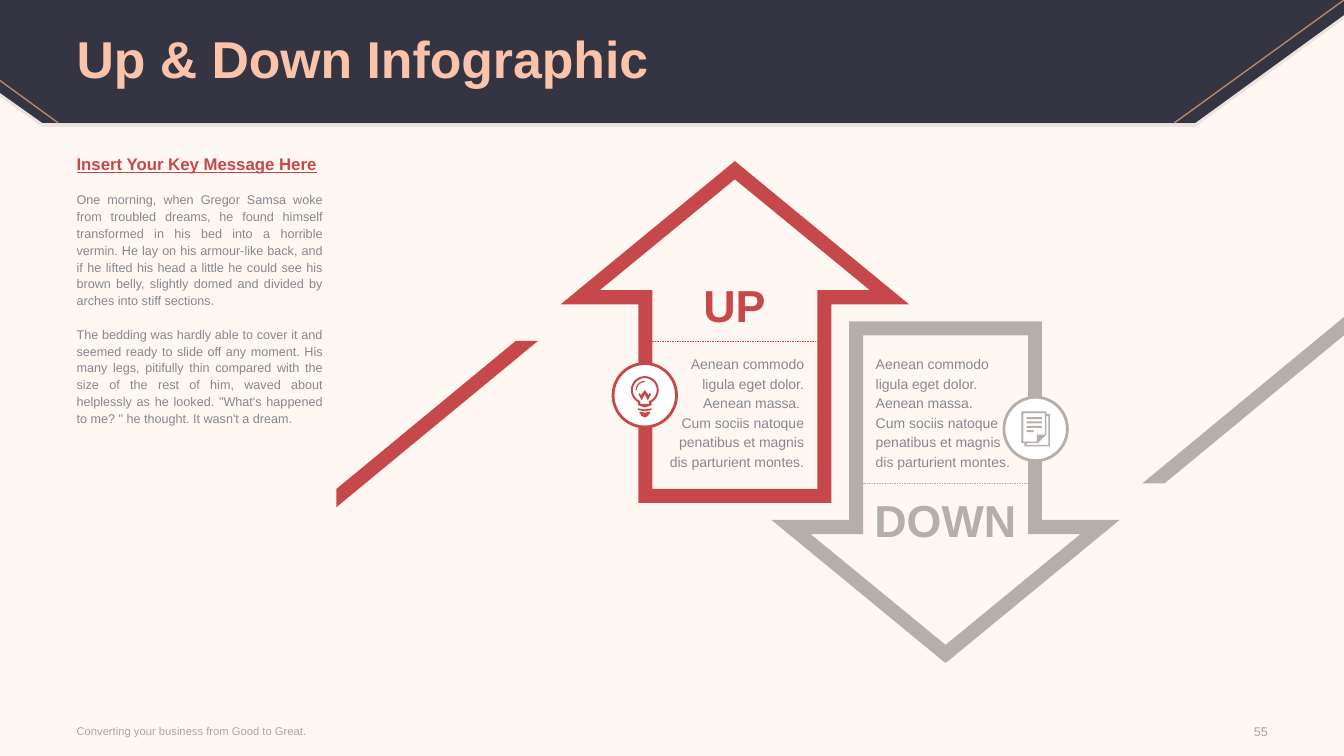
"""Build the Up & Down infographic slide."""
from dataclasses import dataclass
from math import cos, radians, sin
from typing import Callable, Optional

from pptx import Presentation
from pptx.dml.color import RGBColor as RGB
from pptx.enum.dml import MSO_LINE
from pptx.enum.shapes import MSO_CONNECTOR as CONN, MSO_SHAPE as SHAPE
from pptx.enum.text import MSO_ANCHOR as ANCHOR, MSO_AUTO_SIZE as FIT, PP_ALIGN as ALIGN
from pptx.oxml.ns import qn
from pptx.util import Cm, Pt
from lxml.etree import SubElement

Point = tuple[float, float]
Outline = list[Point]


@dataclass(frozen=True)
class Theme:
    font: str = "Arial"
    paper: str = "FFF7F2"
    band: str = "343442"
    gold: str = "B98763"
    peach: str = "FBC4AA"
    up: str = "C7484A"
    down: str = "B6AEAB"
    white: str = "FFFFFF"
    text: str = "85898F"
    muted: str = "A6A6A6"
    title_pt: float = 37
    label_pt: float = 32
    key_pt: float = 12
    panel_pt: float = 10
    body_pt: float = 9
    footer_pt: float = 8


T = Theme()


@dataclass(frozen=True)
class Para:
    text: str
    size: float
    color: str
    bold: bool = False
    underline: bool = False
    align: ALIGN = ALIGN.LEFT
    leading: Optional[Pt | float] = None
    before: float = 0


@dataclass(frozen=True)
class Box:
    left: float
    top: float
    width: float
    height: float


@dataclass(frozen=True)
class Panel:
    label: str
    lines: tuple[str, str]
    color: str
    cx: float
    tip: float
    way: int
    align: ALIGN
    label_box: Box
    text_box: Box
    icon: Callable[[], list[Outline]]

    def at(self, dx: float, dy: float) -> Point:
        return self.cx + self.way * dx, self.tip + self.way * dy


def rgb(color: str) -> RGB:
    return RGB.from_string(color)


def arc(r: float, start: int, end: int, cy: float) -> Outline:
    step = 6 if end > start else -6
    angles = [*range(start, end, step), end]
    return [(r * cos(radians(a)), cy + r * sin(radians(a))) for a in angles]


def rect(x1: float, y1: float, x2: float, y2: float) -> Outline:
    return [(x1, y1), (x2, y1), (x2, y2), (x1, y2)]


def mirror(half: Outline) -> Outline:
    return half + [(-x, y) for x, y in reversed(half)]


def bulb() -> list[Outline]:
    cy = -0.13
    return [
        arc(0.35, 120, 420, cy) + [(0.17, 0.25), (0, 0.31), (-0.17, 0.25)],
        arc(0.3, 112, 428, cy) + [(0.11, 0.22), (-0.11, 0.22)],
        arc(0.23, 180, 270, cy) + arc(0.2, 270, 180, cy),
        mirror([(0, -0.13), (0.1, 0), (0.12, -0.05), (0.16, -0.03), (0.08, 0.13), (0, -0.02)]),
        mirror([(0, 0.36), (0.17, 0.33), (0.17, 0.37), (0, 0.41)]),
        mirror([(0, 0.44), (0.13, 0.41), (0.13, 0.46), (0.09, 0.49), (0.09, 0.52), (0, 0.56)]),
    ]


def pages() -> list[Outline]:
    lines = [rect(-0.23, y, 0.16, y + 0.05) for y in (-0.3, -0.19, -0.08)]
    return [
        [(-0.36, -0.44), (0.27, -0.44), (0.27, -0.38), (0.36, -0.38),
         (0.36, 0.44), (-0.28, 0.44), (-0.28, 0.36), (-0.36, 0.36)],
        [(-0.31, -0.4), (0.23, -0.4), (0.23, 0.14), (0.03, 0.14), (0.03, 0.32), (-0.31, 0.32)],
        [(0.32, 0.4), (-0.23, 0.4), (-0.23, 0.36), (0.05, 0.36),
         (0.27, 0.14), (0.27, -0.33), (0.32, -0.33)],
        *lines, rect(-0.23, 0.03, -0.05, 0.08),
    ]


def draw_outlines(s, outlines: list[Outline], color: str, alpha: int = 100) -> None:
    first, *rest = [[(Cm(x), Cm(y)) for x, y in o] for o in outlines]
    fb = s.shapes.build_freeform(*first[0])
    fb.add_line_segments(first[1:], close=True)
    for points in rest:
        fb.move_to(*points[0])
        fb.add_line_segments(points[1:], close=True)
    sp = fb.convert_to_shape()
    sp.shadow.inherit = False
    sp.fill.solid()
    sp.fill.fore_color.rgb = rgb(color)
    sp.line.fill.background()
    if alpha < 100:
        clr = next(sp.element.iter(qn("a:srgbClr")))
        SubElement(clr, qn("a:alpha")).set("val", str(alpha * 1000))


def draw_line(s, start: Point, end: Point, color: str, width: float, dashed: bool = False) -> None:
    ln = s.shapes.add_connector(CONN.STRAIGHT, *map(Cm, start), *map(Cm, end))
    ln.line.color.rgb = rgb(color)
    ln.line.width = Pt(width)
    if dashed:
        ln.line.dash_style = MSO_LINE.DASH
    SubElement(ln.element.spPr, qn("a:effectLst"))


def write(sp, box: Box, paras: list[Para], anchor: ANCHOR = ANCHOR.TOP, fit: FIT = FIT.NONE) -> None:
    sp.left, sp.top = Cm(box.left), Cm(box.top)
    sp.width, sp.height = Cm(box.width), Cm(box.height)
    tf = sp.text_frame
    tf.word_wrap, tf.auto_size, tf.vertical_anchor = True, fit, anchor
    tf.margin_left = tf.margin_top = tf.margin_right = tf.margin_bottom = 0
    for i, para in enumerate(paras):
        p = tf.add_paragraph() if i else tf.paragraphs[0]
        p.alignment, p.space_before, p.space_after = para.align, Pt(para.before), Pt(0)
        p.line_spacing = para.leading
        pPr = p._p.get_or_add_pPr()
        pPr.set("marL", "0")
        pPr.set("indent", "0")
        SubElement(pPr, qn("a:buNone"))
        r = p.add_run()
        r.text = para.text
        r.font.name, r.font.size, r.font.color.rgb = T.font, Pt(para.size), rgb(para.color)
        r.font.bold, r.font.underline = para.bold, para.underline


def add_text(s, box: Box, paras: list[Para], anchor: ANCHOR = ANCHOR.TOP, fit: FIT = FIT.NONE) -> None:
    write(s.shapes.add_textbox(0, 0, 0, 0), box, paras, anchor, fit)


def draw_header(s) -> None:
    band = [(30.12, 3.1), (1.07, 3.1), (0, 2.34), (0, 0), (33.87, 0), (33.87, 0.38)]
    draw_outlines(s, [[(x, y + 0.1) for x, y in band]], T.band, alpha=10)
    draw_outlines(s, [band], T.band)
    draw_line(s, (33.87, 0), (29.59, 3.1), T.gold, 1)
    draw_line(s, (0, 2.03), (1.47, 3.1), T.gold, 1)


def draw_panel(s, panel: Panel) -> None:
    outer = mirror([(0, 0), (4.39, 3.61), (2.43, 3.61), (2.43, 8.61)])
    inner = mirror([(0, 0.46), (3.4, 3.25), (2.08, 3.25), (2.08, 8.26)])
    ramp = [(-4.96, 4.53), (-10.04, 8.72), (-10.04, 8.26), (-5.52, 4.53)]
    for outlines in ([ramp], [outer, inner]):
        draw_outlines(s, [[panel.at(*pt) for pt in o] for o in outlines], panel.color)
    draw_line(s, panel.at(-2.08, 4.53), panel.at(2.08, 4.53), panel.color, 0.25, dashed=True)

    x, y = panel.at(-2.27, 5.9)
    badge = s.shapes.add_shape(SHAPE.OVAL, Cm(x - 0.8), Cm(y - 0.8), Cm(1.6), Cm(1.6))
    badge.shadow.inherit = False
    badge.fill.solid()
    badge.fill.fore_color.rgb = rgb(T.white)
    badge.line.color.rgb, badge.line.width = rgb(panel.color), Pt(2)
    draw_outlines(s, [[(x + dx, y + dy) for dx, dy in o] for o in panel.icon()], panel.color)

    add_text(s, panel.text_box, [Para(t, T.panel_pt, T.text, align=panel.align, leading=Pt(14))
                                 for t in panel.lines], fit=FIT.SHAPE_TO_FIT_TEXT)
    add_text(s, panel.label_box, [Para(panel.label, T.label_pt, panel.color, bold=True,
                                       align=ALIGN.CENTER)], fit=FIT.SHAPE_TO_FIT_TEXT)


LINES = ("Aenean commodo ligula eget dolor. Aenean massa. ",
         "Cum sociis natoque penatibus et magnis dis parturient montes.")
PANELS = [
    Panel("DOWN", LINES, T.down, 23.83, 16.71, -1, ALIGN.LEFT,
          Box(21.87, 12.42, 3.91, 1.37), Box(22.07, 8.89, 3.5, 3), pages),
    Panel("UP", LINES, T.up, 18.52, 4.06, 1, ALIGN.RIGHT,
          Box(16.76, 7.01, 3.5, 1.37), Box(16.76, 8.89, 3.5, 3), bulb),
]
STORY = [
    "One morning, when Gregor Samsa woke from troubled dreams, he found himself transformed in his bed into a horrible vermin. He lay on his armour-like back, and if he lifted his head a little he could see his brown belly, slightly domed and divided by arches into stiff sections.",
    "The bedding was hardly able to cover it and seemed ready to slide off any moment. His many legs, pitifully thin compared with the size of the rest of him, waved about helplessly as he looked. \"What's happened to me? \" he thought. It wasn't a dream.",
]


def main() -> None:
    prs = Presentation()
    prs.slide_width, prs.slide_height = Cm(33.87), Cm(19.05)
    s = prs.slides.add_slide(prs.slide_layouts[1])
    s.background.fill.solid()
    s.background.fill.fore_color.rgb = rgb(T.paper)
    title, body = s.placeholders

    draw_header(s)
    for ph in (title, body):
        s.shapes.element.append(ph.element)
    write(title, Box(1.93, 0.08, 30, 2.97),
          [Para("Up & Down Infographic", T.title_pt, T.peach, bold=True, leading=0.9)], ANCHOR.MIDDLE)
    key = Para("Insert Your Key Message Here", T.key_pt, T.up, True, True, ALIGN.JUSTIFY, Pt(12))
    write(body, Box(1.93, 3.96, 6.2, 13.18),
          [key] + [Para(t, T.body_pt, T.text, align=ALIGN.JUSTIFY, leading=Pt(12), before=12)
                   for t in STORY])
    add_text(s, Box(1.93, 18.08, 13.28, 0.66),
             [Para("Converting your business from Good to Great.", T.footer_pt, T.muted)], ANCHOR.MIDDLE)
    add_text(s, Box(30.35, 18.11, 1.6, 0.66),
             [Para("55", T.body_pt, T.muted, align=ALIGN.RIGHT)], ANCHOR.MIDDLE)
    for panel in PANELS:
        draw_panel(s, panel)
    prs.save("out.pptx")


if __name__ == "__main__":
    main()
